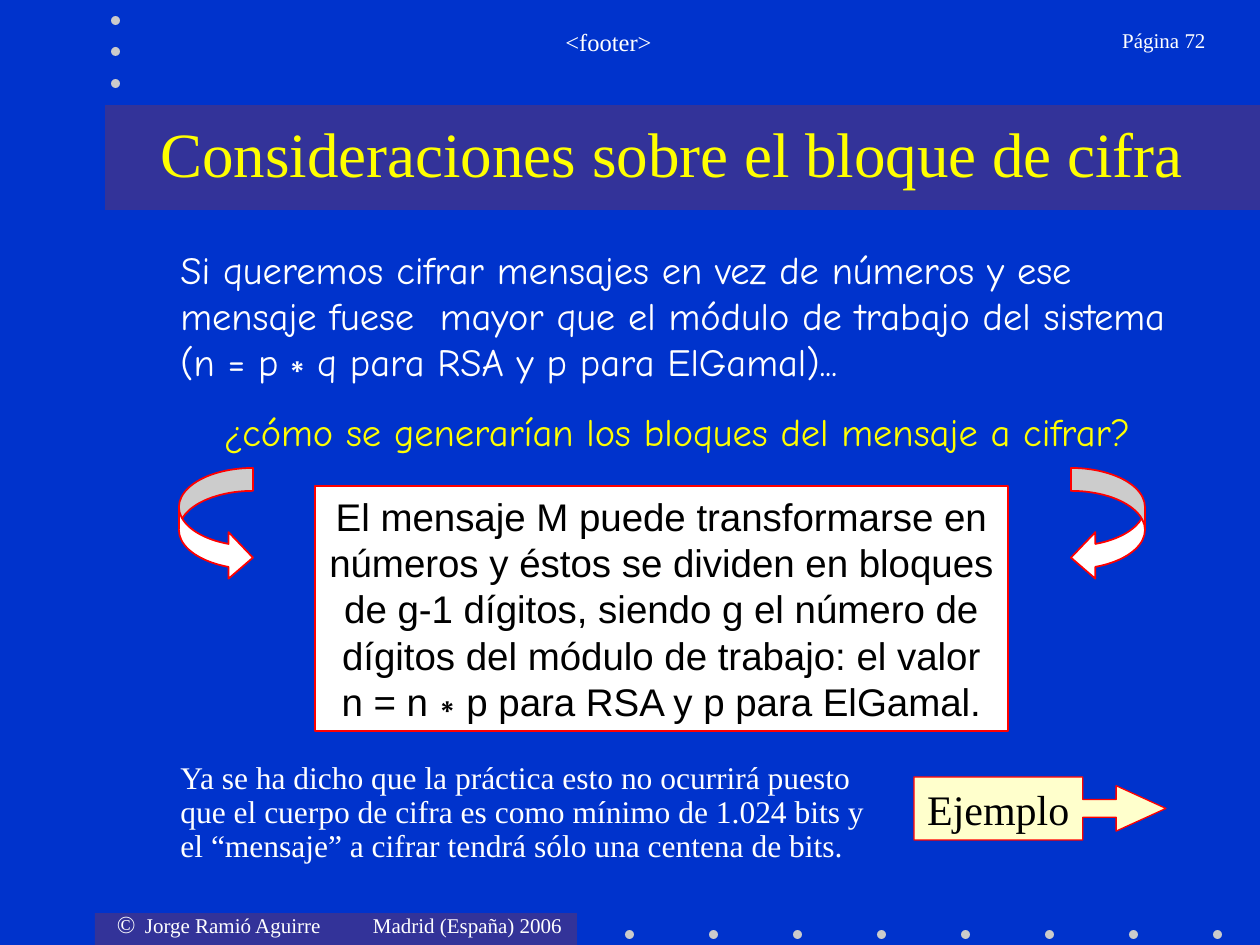
import pptx
import pptx.dml.color
import pptx.enum.shapes
import pptx.enum.text
import pptx.oxml.ns
import pptx.util
from lxml import etree

RGBColor = pptx.dml.color.RGBColor
SHAPE = pptx.enum.shapes.MSO_SHAPE
ALIGN = pptx.enum.text.PP_ALIGN
ANCHOR = pptx.enum.text.MSO_ANCHOR
GROW = pptx.enum.text.MSO_AUTO_SIZE.SHAPE_TO_FIT_TEXT
Pt = pptx.util.Pt

BLUE = RGBColor(0x00, 0x33, 0xCC)
INDIGO = RGBColor(0x33, 0x33, 0x99)
GREY = RGBColor(0xCB, 0xCB, 0xCB)
WHITE = RGBColor(0xFF, 0xFF, 0xFF)
BLACK = RGBColor(0x00, 0x00, 0x00)
YELLOW = RGBColor(0xFF, 0xFF, 0x00)
CREAM = RGBColor(0xFF, 0xFF, 0xCC)
RED = RGBColor(0xFF, 0x00, 0x00)

SERIF, SANS, COMIC = "Times New Roman", "Arial", "Comic Neue"
PX = 914400 / 126

prs = pptx.Presentation()
prs.slide_width, prs.slide_height = round(1260 * PX), round(945 * PX)
s = prs.slides.add_slide(prs.slide_layouts[5])
s.background.fill.solid()
s.background.fill.fore_color.rgb = BLUE


def add_shape(kind, box, fill, line_width=0, adjustments=()):
    sp = s.shapes.add_shape(kind, *[round(v * PX) for v in box])
    sp.shadow.inherit = False
    sp.fill.solid()
    sp.fill.fore_color.rgb = fill
    if line_width:
        sp.line.color.rgb = RED
        sp.line.width = Pt(line_width)
    else:
        sp.line.fill.background()
    for i, value in enumerate(adjustments):
        sp.adjustments[i] = value
    return sp


def write(sp, paragraphs, frame=None, **para):
    """Each paragraph is a list of (text, font name, size, colour) runs."""
    tf = sp.text_frame
    for name, value in {"word_wrap": True, **(frame or {})}.items():
        setattr(tf, name, value)
    for i, runs in enumerate(paragraphs):
        p = tf.add_paragraph() if i else tf.paragraphs[0]
        for name, value in para.items():
            setattr(p, name, value)
        for text, font, size, color in runs:
            r = p.add_run()
            r.text = text
            r.font.name, r.font.size = font, Pt(size)
            r.font.color.rgb = color
    return tf


# Bands and rows of dots
add_shape(SHAPE.RECTANGLE, (95, 913, 482, 32), INDIGO)
add_shape(SHAPE.RECTANGLE, (105, 105, 1155, 105), INDIGO)
dots = [(625 + 84 * i, 930) for i in range(8)] + [(111, 16 + 63 * i // 2) for i in range(3)]
for x, y in dots:
    add_shape(SHAPE.OVAL, (x, y, 9, 9), GREY)

# Title, brought in front of its band
title = s.shapes.title
title.left, title.top, title.width, title.height = [round(v * PX) for v in (105, 105, 1134, 95)]
title.element.getparent().append(title.element)
write(title, [[("Consideraciones sobre el bloque de cifra", SERIF, 36, YELLOW)]],
      {"vertical_anchor": ANCHOR.MIDDLE}, alignment=ALIGN.CENTER)

# Text boxes: position, paragraphs, frame format, paragraph format
grow = {"auto_size": GROW}
texts = [
    ((91, 903, 485, 43),
     [[("©", SERIF, 14, WHITE),
       ("\tJorge Ramió Aguirre\tMadrid (España) 2006", SERIF, 12, WHITE)]],
     {"margin_left": round(26 * PX)}, {"space_before": Pt(7.5)}),
    ((199, 21, 819, 63), [[("<footer>", SERIF, 14, WHITE)]],
     {}, {"alignment": ALIGN.CENTER, "space_before": Pt(8.8)}),
    ((1046, 21, 172, 63), [[("Página 72", SERIF, 12, WHITE)]],
     {}, {"alignment": ALIGN.RIGHT, "space_before": Pt(7.5)}),
    ((168, 239, 1018, 222),
     [[("Si queremos cifrar mensajes en vez de números y ese mensaje fuese  mayor que "
        "el módulo de trabajo del sistema (n = p", COMIC, 22, WHITE),
       ("∗", SANS, 22, WHITE),
       ("q para RSA y p para ElGamal)...", COMIC, 22, WHITE)],
      [("¿cómo se generarían los bloques del mensaje a cifrar?", COMIC, 22, YELLOW)]],
     {**grow, "vertical_anchor": ANCHOR.MIDDLE}, {"space_before": Pt(13.8)}),
    ((168, 756, 736, 115),
     [[("Ya se ha dicho que la práctica esto no ocurrirá puesto que el cuerpo de cifra es "
        "como mínimo de 1.024 bits y el “mensaje” a cifrar tendrá sólo una centena de bits.",
        SERIF, 18, WHITE)]],
     grow, {"space_before": Pt(11.2), "line_spacing": 0.9}),
]
frames = []
for box, paragraphs, frame, para in texts:
    sp = s.shapes.add_textbox(*[round(v * PX) for v in box])
    frames.append(write(sp, paragraphs, frame, **para))
credit, intro = frames[0], frames[3]
intro.paragraphs[1].alignment = ALIGN.CENTER

# Tab stops that space out the credit line
qn = pptx.oxml.ns.qn
pPr = credit.paragraphs[0].alignment = ALIGN.LEFT
pPr = credit.paragraphs[0].runs[0].font and credit.paragraphs[0]
tabs = etree.SubElement(credit.paragraphs[0]._p.get_or_add_pPr(), qn("a:tabLst"))
for x in (28, 256):
    etree.SubElement(tabs, qn("a:tab"), pos=str(round(x * PX)), algn="l")

# Answer box
answer = add_shape(SHAPE.RECTANGLE, (315, 486, 693, 245), WHITE, 0.75)
write(answer,
      [[("El mensaje M puede transformarse en números y éstos se dividen en bloques de g-1 "
         "dígitos, siendo g el número de dígitos del módulo de trabajo: el valor "
         "n = n∗p para RSA y p para ElGamal.", SANS, 22, BLACK)]],
      {**grow, "vertical_anchor": ANCHOR.MIDDLE}, alignment=ALIGN.CENTER)

# Curved arrows on both sides of the answer
for kind, x in ((SHAPE.CURVED_LEFT_ARROW, 1071), (SHAPE.CURVED_RIGHT_ARROW, 179)):
    add_shape(kind, (x, 468, 74, 113), WHITE, 1, (0.31, 0.63, 0.33))

# Example callout
example = add_shape(SHAPE.RIGHT_ARROW_CALLOUT, (914, 777, 252, 63), CREAM, 0.75,
                    (0.28, 0.36, 0.79, 0.67))
write(example, [[("Ejemplo", SERIF, 24, BLACK)]],
      {"word_wrap": False, "vertical_anchor": ANCHOR.MIDDLE}, alignment=ALIGN.CENTER)

prs.save("out.pptx")
